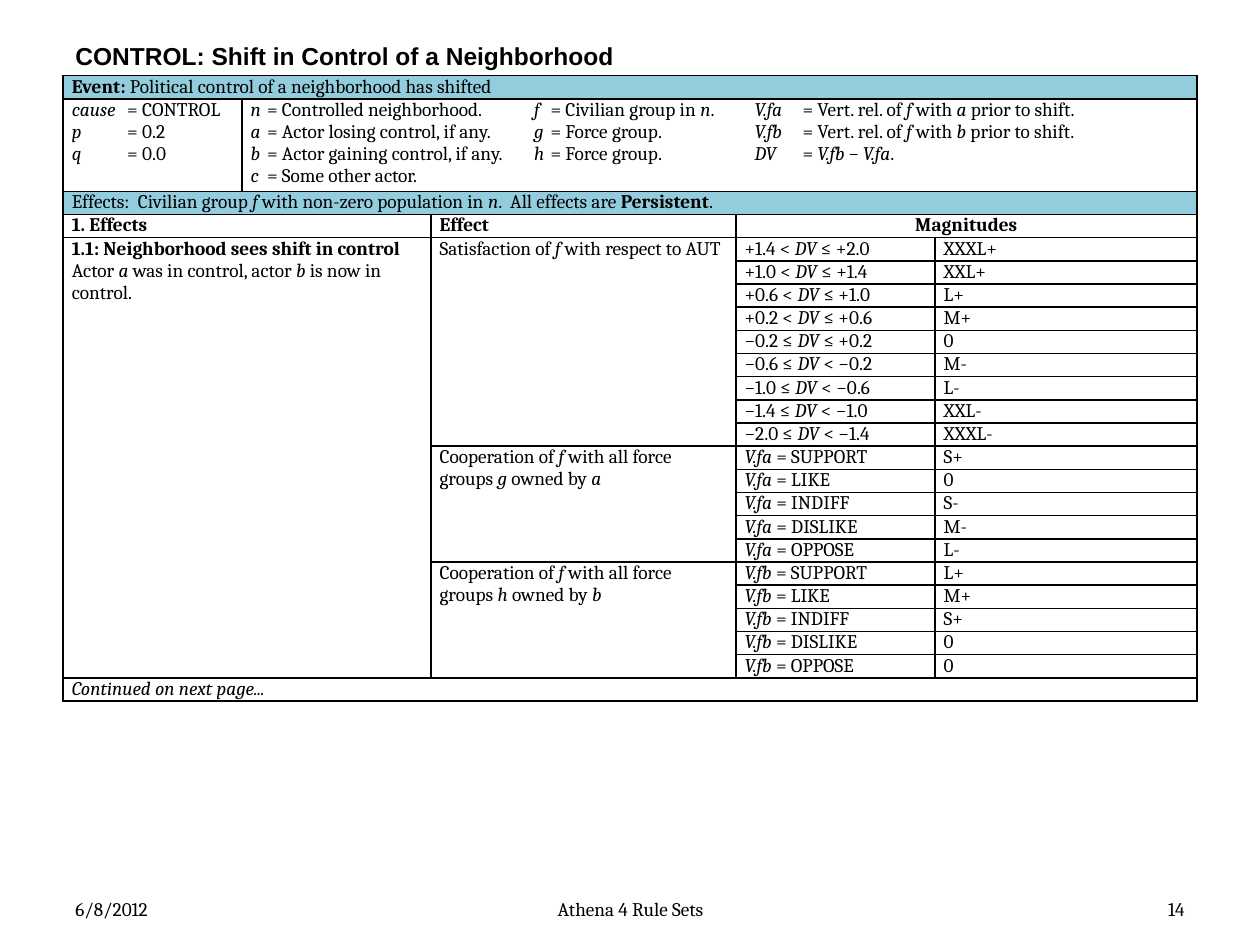
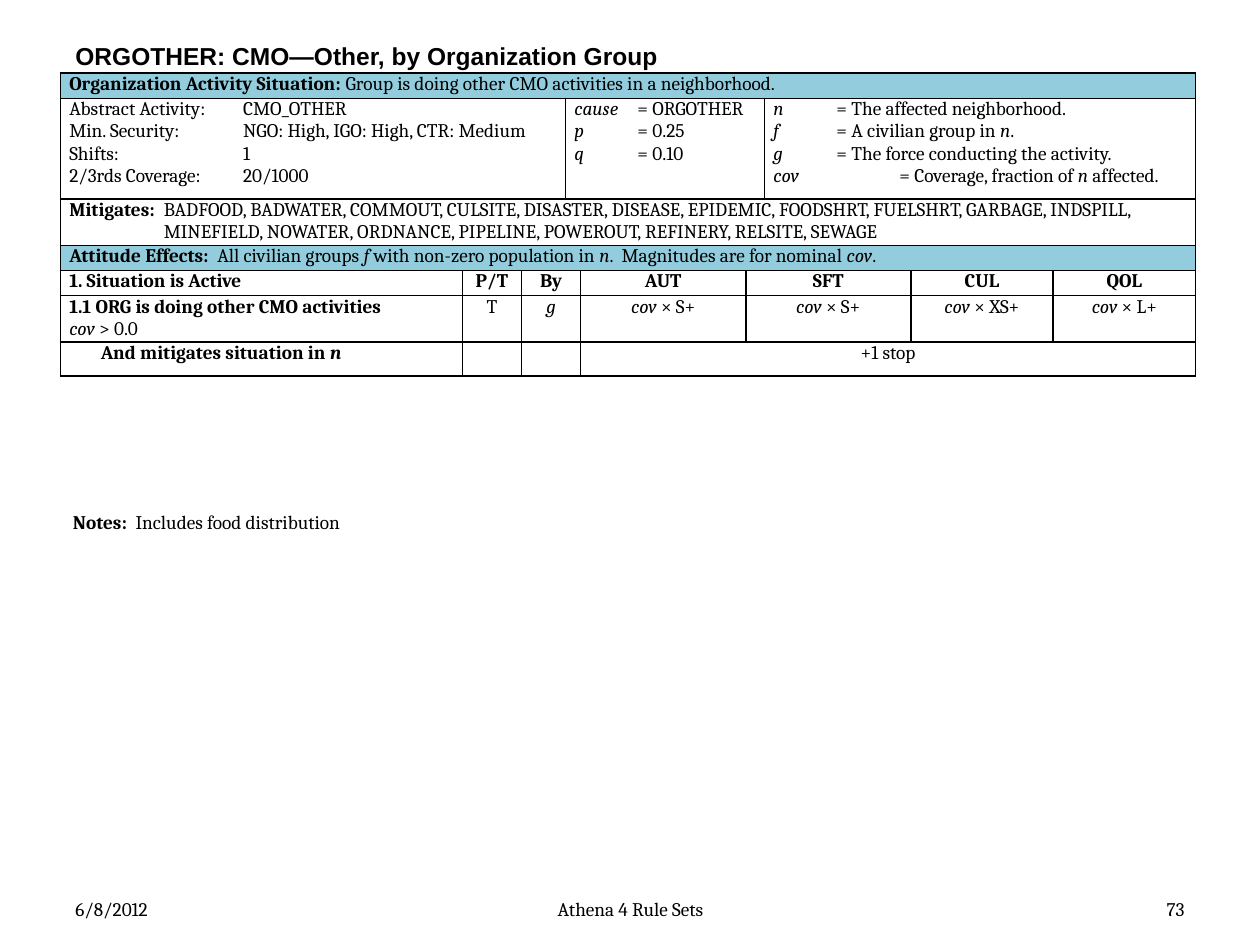
import pptx
import pptx.util
import pptx.dml.color
import pptx.enum.text
import pptx.oxml
import pptx.oxml.ns
from lxml import etree

Inches = pptx.util.Inches
Pt = pptx.util.Pt
ALIGN = pptx.enum.text.PP_ALIGN
COLORS = {"text": "000000", "band": "93CDDD", "border": "000000"}


def rgb(name):
    return pptx.dml.color.RGBColor.from_string(COLORS[name])


def add_xml(parent, tag, **attributes):
    return etree.SubElement(parent, pptx.oxml.ns.qn(tag), attributes)


class RuleSheet:
    """Style of the rule sheets and the slide being filled."""

    body_font, body_size = "Cambria", 11
    title_font, title_size = "Arial", 14

    def __init__(self):
        self.deck = pptx.Presentation()
        self.deck.slide_width, self.deck.slide_height = Inches(10), Inches(7.5)

    def new_page(self, title, number):
        self.slide = self.deck.slides.add_slide(self.deck.slide_layouts[6])
        self.text(0.5, 0.3, 9, 0.28, f"*{title}*", font=self.title_font, size=self.title_size)
        self.text(0.5, 7.08, 2.33, 0.27, "6/8/2012")
        self.text(3.42, 7.08, 3.17, 0.27, "Athena 4 Rule Sets", ALIGN.CENTER)
        self.text(7.17, 7.08, 2.33, 0.27, number, ALIGN.RIGHT)

    def set_marked(self, frame, marked, align=None, font=None, size=None):
        """Fill a frame; * switches bold and ~ switches italic."""
        frame.text = marked
        for paragraph in frame.paragraphs:
            line = paragraph.text
            paragraph.text = ""
            paragraph.alignment = align
            for b, bold_part in enumerate(line.split("*")):
                for i, piece in enumerate(bold_part.split("~")):
                    if piece:
                        run = paragraph.add_run()
                        run.text = piece
                        run.font.name = font or self.body_font
                        run.font.size = Pt(size or self.body_size)
                        run.font.bold, run.font.italic = b % 2 == 1, i % 2 == 1
                        run.font.color.rgb = rgb("text")

    def text(self, left, top, width, height, marked, align=None, font=None, size=None,
             anchor=pptx.enum.text.MSO_ANCHOR.MIDDLE):
        box = self.slide.shapes.add_textbox(*map(Inches, (left, top, width, height)))
        frame = box.text_frame
        frame.word_wrap = True
        frame.vertical_anchor = anchor
        self.set_marked(frame, marked, align, font, size)

    def table(self, left, top, widths, heights):
        frame = self.slide.shapes.add_table(
            len(heights), len(widths),
            *map(Inches, (left, top, sum(widths), sum(heights))))
        self.grid = frame.table
        self.grid.first_row = self.grid.horz_banding = False
        for column, width in zip(self.grid.columns, widths):
            column.width = Inches(width)
        for row, height in zip(self.grid.rows, heights):
            row.height = Inches(height)
        for cell in self.grid.iter_cells():
            self.plain_cell(cell)

    def plain_cell(self, cell):
        cell.margin_left = cell.margin_right = Inches(0.07)
        cell.margin_top = cell.margin_bottom = 0
        properties = cell._tc.get_or_add_tcPr()
        for side in "LRTB":
            line = add_xml(properties, f"a:ln{side}", w=str(Pt(1)))
            add_xml(add_xml(line, "a:solidFill"), "a:srgbClr", val=COLORS["border"])
        cell.fill.background()
        # Empty cells keep the body size so that they do not stretch their row
        add_xml(cell.text_frame.paragraphs[0]._p, "a:endParaRPr", sz=str(self.body_size * 100))

    def cell(self, row, col, marked="", span=(1, 1), align=None, tabs=(), hanging=0):
        cell = self.grid.cell(row, col)
        if span != (1, 1):
            cell.merge(self.grid.cell(row + span[0] - 1, col + span[1] - 1))
        if marked:
            self.set_marked(cell.text_frame, marked, align)
        for paragraph in cell.text_frame.paragraphs:
            if hanging:
                properties = paragraph._p.get_or_add_pPr()
                properties.set("marL", str(Inches(hanging)))
                properties.set("indent", str(Inches(-hanging)))
            self.set_tabs(paragraph, tabs)
        return cell

    def set_tabs(self, paragraph, tabs):
        properties = paragraph._p.get_or_add_pPr()
        for old in properties.findall(pptx.oxml.ns.qn("a:tabLst")):
            properties.remove(old)
        if tabs:
            stops = add_xml(properties, "a:tabLst")
            for tab in tabs:
                add_xml(stops, "a:tab", pos=str(Inches(tab)), algn="l")

    def band(self, row, marked):
        heading = self.cell(row, 0, marked, (1, len(self.grid.columns)))
        heading.fill.solid()
        heading.fill.fore_color.rgb = rgb("band")


def control_page(sheet):
    sheet.new_page("CONTROL: Shift in Control of a Neighborhood", "14")
    sheet.table(0.5, 0.6, [1.42, 1.5, 2.42, 1.58, 2.08], [0.17, 0.63] + [0.17] * 22)

    # Event and its variables
    sheet.band(0, "*Event:* Political control of a neighborhood has shifted")
    sheet.cell(1, 0, "~cause~\t= CONTROL\n~p~\t= 0.2\n~q~\t= 0.0", tabs=[0.44])
    sheet.cell(1, 1, "\n".join([
        "~n~\t= Controlled neighborhood.\t~f~\t= Civilian group in ~n~.\t"
        "~V.fa~\t= Vert. rel. of ~f ~with ~a ~prior to shift.",
        "~a~\t= Actor losing control, if any.\t~g~\t= Force group.\t"
        "~V.fb~\t= Vert. rel. of ~f~ with ~b~ prior to shift.",
        "~b~\t= Actor gaining control, if any.\t~h~\t= Force group.\t~DV~\t= ~V.fb − V.fa~.",
        "~c~\t= Some other actor.",
    ]), (1, 4), tabs=[0.13, 2.25, 2.38, 4, 4.38])

    # Headings
    sheet.band(2, "Effects:  Civilian group ~f ~with non-zero population in ~n~."
                  "  All effects are *Persistent*.")
    sheet.cell(3, 0, "*1. Effects*", (1, 2))
    sheet.cell(3, 2, "*Effect*")
    sheet.cell(3, 3, "*Magnitudes*", (1, 2), ALIGN.CENTER)
    sheet.cell(4, 0, "*1.1: Neighborhood sees shift in control*\n"
                     "Actor ~a~ was in control, actor ~b~ is now in control.", (19, 2))

    # Effects with their conditions and magnitudes
    shifts = ["+1.4 < ~DV~ ≤ +2.0", "+1.0 < ~DV~ ≤ +1.4", "+0.6 < ~DV~ ≤ +1.0",
              "+0.2 < ~DV~ ≤ +0.6", "−0.2 ≤ ~DV~ ≤ +0.2", "−0.6 ≤ ~DV~ < −0.2",
              "−1.0 ≤ ~DV~ < −0.6", "−1.4 ≤ ~DV~ < −1.0", "−2.0 ≤ ~DV~ < −1.4"]
    attitudes = ["SUPPORT", "LIKE", "INDIFF", "DISLIKE", "OPPOSE"]
    cooperation = "Cooperation of ~f ~with all force groups ~{}~ owned by ~{}~"
    effects = [
        ("Satisfaction of ~f ~with respect to AUT", shifts,
         ["XXXL+", "XXL+", "L+", "M+", "0", "M-", "L-", "XXL-", "XXXL-"]),
        (cooperation.format("g", "a"), [f"~V.fa~ = {a}" for a in attitudes],
         ["S+", "0", "S-", "M-", "L-"]),
        (cooperation.format("h", "b"), [f"~V.fb ~= {a}" for a in attitudes],
         ["L+", "M+", "S+", "0", "0"]),
    ]
    row = 4
    for effect, conditions, magnitudes in effects:
        sheet.cell(row, 2, effect, (len(conditions), 1))
        for condition, magnitude in zip(conditions, magnitudes):
            sheet.cell(row, 3, condition)
            sheet.cell(row, 4, magnitude)
            row += 1
    sheet.cell(row, 0, "~Continued on next page...~", (1, 5))


def orgother_page(sheet):
    sheet.new_page("ORGOTHER: CMO—Other, by Organization Group", "73")
    sheet.table(0.48, 0.58, [3.19, 0.47, 0.35, 0.12, 1.31, 0.15, 1.16, 1.13, 1.13],
                [0.2, 0.8, 0.2, 0.2, 0.2, 0.3, 0.27])

    # Situation and its variables
    sheet.band(0, "*Organization Activity Situation:*"
                  " Group is doing other CMO activities in a neighborhood.")
    sheet.cell(1, 0, "Abstract Activity:\tCMO_OTHER\n"
                     "Min. Security:\tNGO: High, IGO: High, CTR: Medium\n"
                     "Shifts:\t1\n2/3rds Coverage:\t20/1000", (1, 3), tabs=[1.38])
    sheet.cell(1, 3, "~cause~\t= ORGOTHER\n~p~\t= 0.25\n~q~\t= 0.10", (1, 3), tabs=[0.5])
    variables = sheet.cell(1, 6, "~n~\t= The affected neighborhood.\n"
                                 "~f~\t= A civilian group in ~n~.\n"
                                 "~g~\t= The force conducting the activity.\n"
                                 "~cov~\t= Coverage, fraction of ~n~ affected.",
                           (1, 3), tabs=[0.5])
    sheet.set_tabs(variables.text_frame.paragraphs[-1], [1])
    sheet.cell(2, 0, "*Mitigates:*\tBADFOOD, BADWATER, COMMOUT, CULSITE, DISASTER, DISEASE, "
                     "EPIDEMIC, FOODSHRT, FUELSHRT, GARBAGE, INDSPILL, MINEFIELD, NOWATER, "
                     "ORDNANCE, PIPELINE, POWEROUT, REFINERY, RELSITE, SEWAGE",
               (1, 9), hanging=0.75)

    # Attitude effects
    sheet.band(3, "*Attitude Effects:  *All civilian groups ~f ~with non-zero population in ~n~."
                  "  Magnitudes are for nominal ~cov~.")
    sheet.cell(4, 0, "*1. Situation is Active*")
    sheet.cell(5, 0, "*1.1 ORG is doing other CMO activities*\n~cov~ > 0.0")
    effects = [(1, 1, "P/T", "T"), (2, 2, "By", "~g~"),
               (4, 1, "AUT", "~cov~ × S+"), (5, 2, "SFT", "~cov~ × S+"),
               (7, 1, "CUL", "~cov~ × XS+"), (8, 1, "QOL", "~cov~ × L+")]
    for col, width, heading, value in effects:
        sheet.cell(4, col, f"*{heading}*", (1, width), ALIGN.CENTER)
        sheet.cell(5, col, value, (1, width), ALIGN.CENTER)
    sheet.cell(6, 0, "*\tAnd mitigates situation in ~n~*", tabs=[0.25])
    sheet.cell(6, 2, span=(1, 2))
    sheet.cell(6, 4, "+1 stop", (1, 5), ALIGN.CENTER)

    # Notes below the table
    sheet.text(0.48, 4, 9.08, 0.29, "*Notes:  *Includes food distribution",
               anchor=pptx.enum.text.MSO_ANCHOR.TOP)


def main():
    sheet = RuleSheet()
    control_page(sheet)
    orgother_page(sheet)
    sheet.deck.save("out.pptx")


if __name__ == "__main__":
    main()
